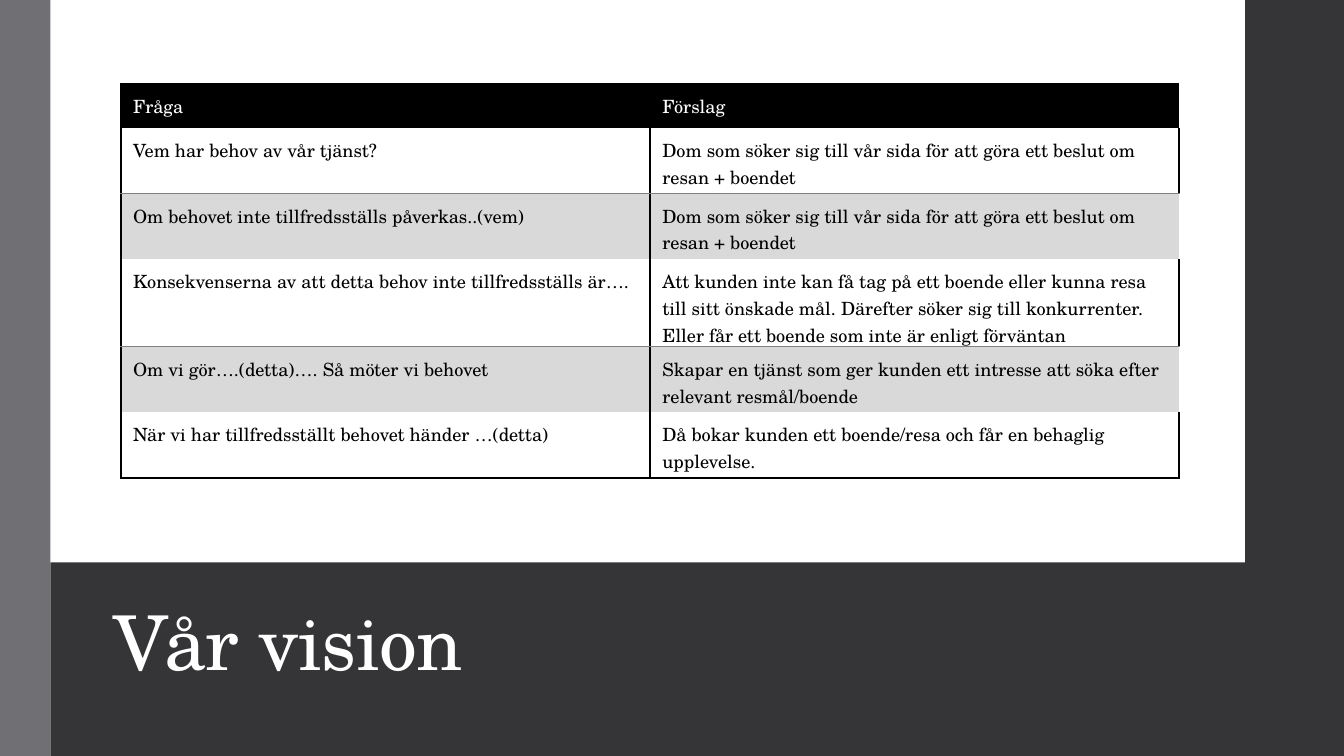
import pptx
import pptx.dml.color
import pptx.enum.shapes
import pptx.enum.text
import pptx.oxml
import pptx.oxml.ns
import pptx.util
from pptx.util import Inches

BLACK = pptx.dml.color.RGBColor(0x00, 0x00, 0x00)
WHITE = pptx.dml.color.RGBColor(0xFF, 0xFF, 0xFF)
CHARCOAL = pptx.dml.color.RGBColor(0x35, 0x35, 0x37)
SLATE = pptx.dml.color.RGBColor(0x6F, 0x6F, 0x74)
BAND = pptx.dml.color.RGBColor(0xD9, 0xD9, 0xD9)
RULE = pptx.dml.color.RGBColor(0x80, 0x80, 0x80)
FONT = "TeX Gyre Schola"
THICK = (BLACK, 1.5)
THIN = (RULE, 0.5)


def format_run(run, size, color):
    values = {"name": FONT, "size": pptx.util.Pt(size), "bold": False}
    for name, value in values.items():
        setattr(run.font, name, value)
    run.font.color.rgb = color


def set_borders(cell, borders):
    properties = cell._tc.get_or_add_tcPr()
    for index, side in enumerate("LRTB"):
        color, width = borders.get(side, (None, 0))
        fill = "<a:noFill/>"
        if color is not None:
            fill = f'<a:solidFill><a:srgbClr val="{color}"/></a:solidFill>'
        line = pptx.oxml.parse_xml(
            f'<a:ln{side} {pptx.oxml.ns.nsdecls("a")} w="{int(width * 12700)}">'
            f"{fill}</a:ln{side}>"
        )
        properties.insert(index, line)


presentation = pptx.Presentation()
presentation.slide_width = Inches(13.33)
presentation.slide_height = Inches(7.5)
slide = presentation.slides.add_slide(presentation.slide_layouts[6])

panels = [
    (0.5, 0, 11.85, 5.58, WHITE),
    (0.5, 5.58, 11.85, 1.92, CHARCOAL),
    (0, 0, 0.5, 7.5, SLATE),
    (12.35, 0, 0.98, 7.5, CHARCOAL),
]
for left, top, width, height, color in panels:
    panel = slide.shapes.add_shape(
        pptx.enum.shapes.MSO_SHAPE.RECTANGLE,
        Inches(left), Inches(top), Inches(width), Inches(height),
    )
    panel.shadow.inherit = False
    panel.fill.solid()
    panel.fill.fore_color.rgb = color
    panel.line.fill.background()

title = slide.shapes.add_textbox(Inches(1.03), Inches(5.67), Inches(11.11), Inches(1.18))
title.text_frame.word_wrap = True
title.text_frame.vertical_anchor = pptx.enum.text.MSO_ANCHOR.BOTTOM
paragraph = title.text_frame.paragraphs[0]
paragraph.line_spacing = 0.85
run = paragraph.add_run()
run.text = "Vår vision"
format_run(run, 54, WHITE)
run.font._element.set("spc", "-50")

rows = [
    ("Fråga", "Förslag"),
    ("Vem har behov av vår tjänst?",
     "Dom som söker sig till vår sida för att göra ett beslut om resan + boendet"),
    ("Om behovet inte tillfredsställs påverkas..(vem)",
     "Dom som söker sig till vår sida för att göra ett beslut om resan + boendet"),
    ("Konsekvenserna av att detta behov inte tillfredsställs är….",
     "Att kunden inte kan få tag på ett boende eller kunna resa till sitt önskade mål. "
     "Därefter söker sig till konkurrenter. Eller får ett boende som inte är enligt förväntan"),
    ("Om vi gör….(detta)…. Så möter vi behovet",
     "Skapar en tjänst som ger kunden ett intresse att söka efter relevant resmål/boende"),
    ("När vi har tillfredsställt behovet händer …(detta)",
     "Då bokar kunden ett boende/resa och får en behaglig upplevelse."),
]
row_heights = [0.44, 0.65, 0.65, 0.87, 0.65, 0.65]
column_widths = [5.25, 5.24]
cell_format = {
    "margin_left": Inches(0.12),
    "margin_right": Inches(0.09),
    "margin_top": Inches(0.09),
    "margin_bottom": Inches(0.09),
}

table = slide.shapes.add_table(
    len(rows), 2, Inches(1.2), Inches(0.83),
    Inches(sum(column_widths)), Inches(sum(row_heights)),
).table
table.first_row = False
table.horz_banding = False
for column, width in zip(table.columns, column_widths):
    column.width = Inches(width)

for row_index, texts in enumerate(rows):
    table.rows[row_index].height = Inches(row_heights[row_index])
    is_header = row_index == 0
    is_band = row_index in (2, 4)
    for column_index, text in enumerate(texts):
        cell = table.cell(row_index, column_index)
        for name, value in cell_format.items():
            setattr(cell, name, value)
        if is_header:
            cell.vertical_anchor = pptx.enum.text.MSO_ANCHOR.MIDDLE
            borders = {"T": THICK}
            if column_index == 0:
                borders["L"] = THICK
        elif is_band:
            borders = {"L": THICK, "T": THIN}
            if column_index == 0:
                borders["R"] = THICK
        else:
            is_last = row_index == len(rows) - 1
            borders = {"L": THICK, "R": THICK, "B": THICK if is_last else THIN}
        if is_header or is_band:
            cell.fill.solid()
            cell.fill.fore_color.rgb = BLACK if is_header else BAND
        else:
            cell.fill.background()
        set_borders(cell, borders)
        run = cell.text_frame.paragraphs[0].add_run()
        run.text = text
        format_run(run, 13, WHITE if is_header else BLACK)

presentation.save("out.pptx")
